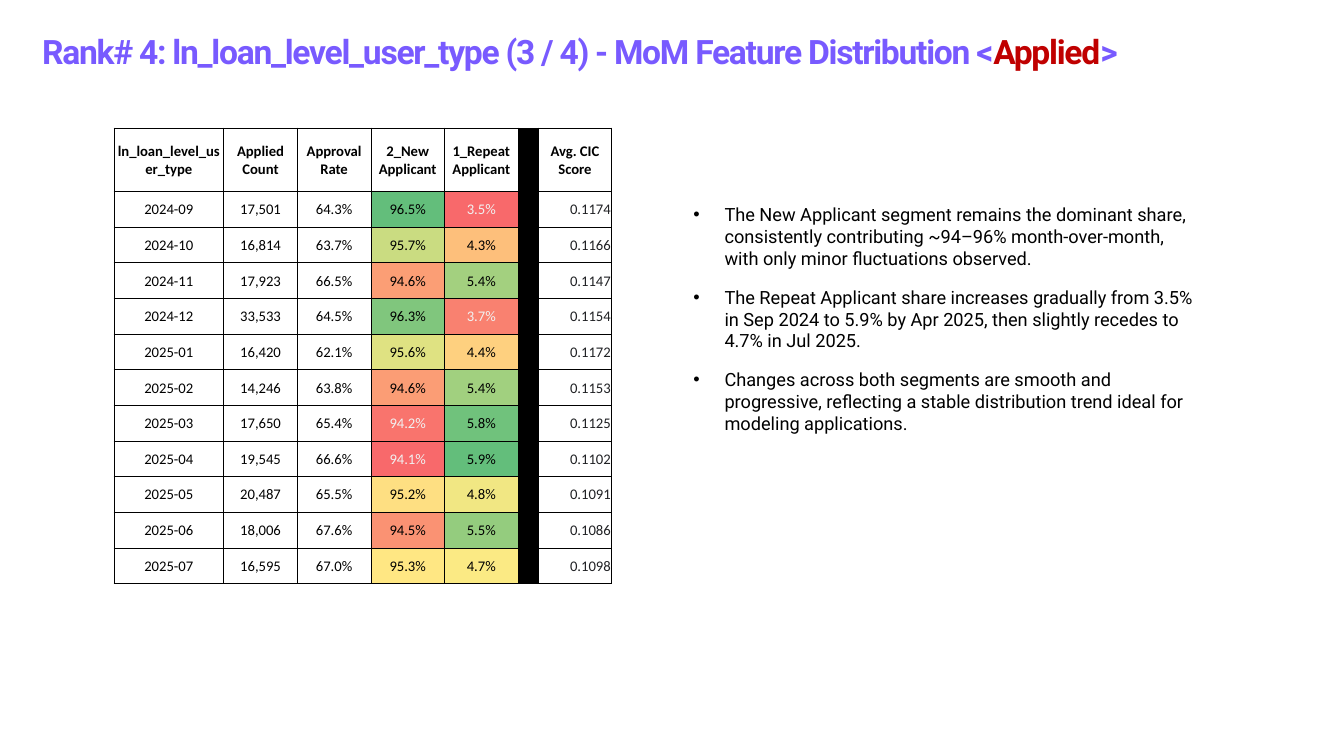
from lxml.etree import SubElement
from pptx import Presentation
from pptx.dml.color import RGBColor
from pptx.enum.text import MSO_ANCHOR, MSO_AUTO_SIZE, PP_ALIGN
from pptx.oxml import parse_xml
from pptx.oxml.ns import nsdecls, qn
from pptx.util import Inches, Pt

THEME = {
    "title": "785AFF", "accent": "C00000", "ink": "000000", "score": "202124",
    "light": "F1F1F1", "paper": "FFFFFF",
    "title_size": 24, "body_size": 13, "cell_size": 10.5,
    "text_font": "Roboto", "table_font": "Calibri",
}
GRID = Inches(0.1)


def cells(n):
    return round(n * GRID)


def style(r, font, size, color, bold=False):
    r.font.name = THEME[font]
    r.font.size = Pt(THEME[size])
    r.font.bold = bold
    r.font.color.rgb = RGBColor.from_string(THEME[color])


prs = Presentation()
prs.slide_width = cells(133.33)
prs.slide_height = cells(75)
s = prs.slides.add_slide(prs.slide_layouts[6])

tf = s.shapes.add_textbox(cells(3.2), 0, cells(120.6), cells(8.1)).text_frame
tf.word_wrap = True
tf.vertical_anchor = MSO_ANCHOR.MIDDLE
p = tf.paragraphs[0]
p.line_spacing = 1.5
for text, color in [
    ("Rank# 4: ln_loan_level_user_type (3 / 4) - MoM Feature Distribution <", "title"),
    ("Applied", "accent"),
    (">", "title"),
]:
    r = p.add_run()
    r.text = text
    style(r, "text_font", "title_size", color, True)
    r.font._element.set("spc", "-90")

findings = [
    "The New Applicant segment remains the dominant share, consistently contributing ~94–96% month-over-month, with only minor fluctuations observed.",
    "The Repeat Applicant share increases gradually from 3.5% in Sep 2024 to 5.9% by Apr 2025, then slightly recedes to 4.7% in Jul 2025.",
    "Changes across both segments are smooth and progressive, reflecting a stable distribution trend ideal for modeling applications.",
]
tf = s.shapes.add_textbox(cells(67.8), cells(19.7), cells(51.7), cells(24.1)).text_frame
tf.word_wrap = True
tf.auto_size = MSO_AUTO_SIZE.SHAPE_TO_FIT_TEXT
for i, text in enumerate(findings):
    p = tf.add_paragraph() if i else tf.paragraphs[0]
    pPr = p._p.get_or_add_pPr()
    pPr.set("marL", str(cells(3.1)))
    pPr.set("indent", str(-cells(3.1)))
    SubElement(pPr, qn("a:buFont")).set("typeface", "Arial")
    SubElement(pPr, qn("a:buChar")).set("char", "•")
    p.space_after = Pt(12)
    r = p.add_run()
    r.text = text
    style(r, "text_font", "body_size", "ink")

headers = ["ln_loan_level_user_type", "Applied Count", "Approval Rate",
           "2_New Applicant", "1_Repeat Applicant", "", "Avg. CIC Score"]
months = [
    ("2024-09", "17,501", "64.3%", "96.5%", "3.5%", "", "0.1174"),
    ("2024-10", "16,814", "63.7%", "95.7%", "4.3%", "", "0.1166"),
    ("2024-11", "17,923", "66.5%", "94.6%", "5.4%", "", "0.1147"),
    ("2024-12", "33,533", "64.5%", "96.3%", "3.7%", "", "0.1154"),
    ("2025-01", "16,420", "62.1%", "95.6%", "4.4%", "", "0.1172"),
    ("2025-02", "14,246", "63.8%", "94.6%", "5.4%", "", "0.1153"),
    ("2025-03", "17,650", "65.4%", "94.2%", "5.8%", "", "0.1125"),
    ("2025-04", "19,545", "66.6%", "94.1%", "5.9%", "", "0.1102"),
    ("2025-05", "20,487", "65.5%", "95.2%", "4.8%", "", "0.1091"),
    ("2025-06", "18,006", "67.6%", "94.5%", "5.5%", "", "0.1086"),
    ("2025-07", "16,595", "67.0%", "95.3%", "4.7%", "", "0.1098"),
]
NEW, REPEAT, DIVIDER, SCORE = 3, 4, 5, 6
heat = {
    NEW: ["63BE7B", "CADC81", "FB9E75", "80C67D", "DFE282", "FB9D75",
          "F9746D", "F8696B", "FEDF82", "FA9273", "FFE783"],
    REPEAT: ["F8696B", "FDBF7B", "A3D07F", "F98170", "FED07F", "A1D07F",
             "70C27C", "63BE7B", "F1E783", "94CC7E", "FBEA84"],
}
widths = [10.9, 7.3, 7.3, 7.3, 7.3, 2, 7.3]
header_height, table_height = 6.3, 45.2
row_height = (table_height - header_height) / len(months)

tbl = s.shapes.add_table(len(months) + 1, len(headers), cells(11.3), cells(12.7),
                         cells(sum(widths)), cells(table_height)).table
tbl.first_row = False
tbl.horz_banding = False
for col, width in zip(tbl.columns, widths):
    col.width = cells(width)
for i, values in enumerate([headers] + months):
    tbl.rows[i].height = cells(row_height if i else header_height)
    for j, value in enumerate(values):
        cell = tbl.cell(i, j)
        cell.margin_left = cell.margin_right = cell.margin_top = cells(0.1)
        cell.margin_bottom = 0
        cell.vertical_anchor = MSO_ANCHOR.MIDDLE
        fill, color = THEME["paper"], "ink"
        if j == DIVIDER:
            fill = THEME["ink"]
        elif i and j in heat:
            fill = heat[j][i - 1]
            if int(fill[2:4], 16) < 0x85:
                color = "light"
        elif i and j == SCORE:
            color = "score"
        cell.fill.solid()
        cell.fill.fore_color.rgb = RGBColor.from_string(fill)
        for k, side in enumerate(["lnL", "lnR", "lnT", "lnB"]):
            cell._tc.get_or_add_tcPr().insert(k, parse_xml(
                f'<a:{side} {nsdecls("a")} w="{Pt(0.5)}"><a:solidFill>'
                f'<a:srgbClr val="{THEME["ink"]}"/></a:solidFill></a:{side}>'))
        if value:
            p = cell.text_frame.paragraphs[0]
            p.alignment = PP_ALIGN.RIGHT if i and j == SCORE else PP_ALIGN.CENTER
            p.text = value
            style(p.runs[0], "table_font", "cell_size", color, i == 0)

prs.save("out.pptx")
